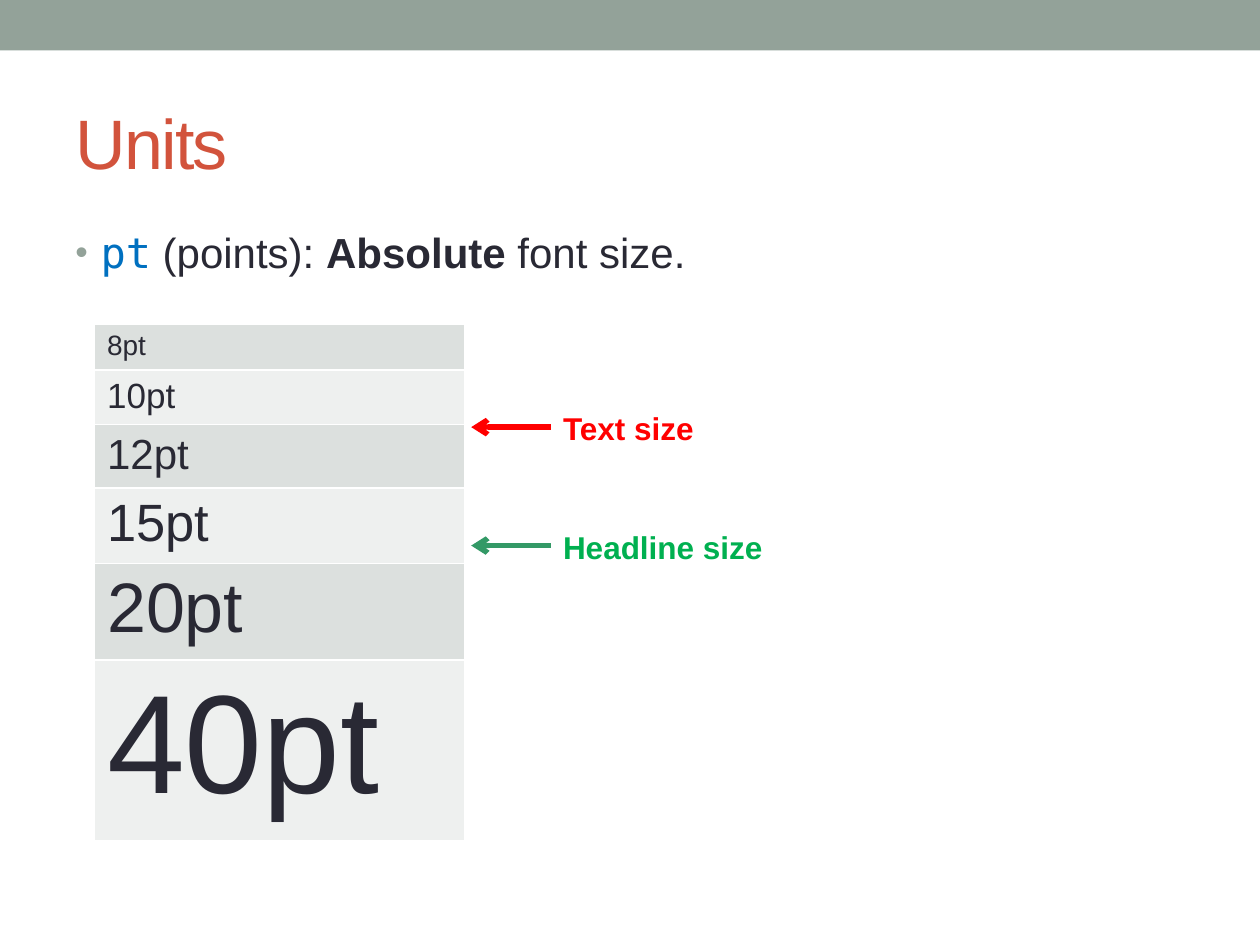
from dataclasses import dataclass

from lxml import etree
from pptx import Presentation
from pptx.dml.color import RGBColor
from pptx.enum.shapes import MSO_CONNECTOR, MSO_SHAPE
from pptx.enum.text import MSO_ANCHOR, PP_ALIGN
from pptx.oxml.ns import qn
from pptx.util import Inches, Pt

RECT = MSO_SHAPE.RECTANGLE
LINE = MSO_CONNECTOR.STRAIGHT
MIDDLE = MSO_ANCHOR.MIDDLE
LEFT = PP_ALIGN.LEFT


@dataclass(frozen=True)
class Theme:
    sans: str = "Arial"
    mono: str = "DejaVu Sans Mono"
    ink: str = "292934"
    title: str = "D2533C"
    bar: str = "93A299"
    code: str = "0070C0"
    bands: tuple = ("DCE0DE", "EEF0EF")
    rule: str = "FFFFFF"
    red: str = "FF0000"
    teal: str = "339966"
    green: str = "00B050"
    head: int = 40
    body: int = 24
    note: int = 18


T = Theme()


def rgb(hue):
    return RGBColor.from_string(hue)


def style(font, size, hue, bold=False):
    font.name = T.sans
    font.size = Pt(size)
    font.color.rgb = rgb(hue)
    font.bold = bold


def node(root, tag, **attrs):
    return etree.SubElement(root, qn(tag), attrs)


def add_bar(slide, x, y, w, h):
    bar = slide.shapes.add_shape(RECT, Inches(x), Inches(y), Inches(w), Inches(h))
    bar.shadow.inherit = False
    bar.fill.solid()
    bar.fill.fore_color.rgb = rgb(T.bar)
    bar.line.fill.background()


def add_title(slide, text, x, y, w, h):
    title = slide.shapes.title
    title.left, title.top = Inches(x), Inches(y)
    title.width, title.height = Inches(w), Inches(h)
    frame = title.text_frame
    frame.vertical_anchor = MIDDLE
    para = frame.paragraphs[0]
    run = para.add_run()
    run.text = text
    para.alignment = LEFT
    style(para.font, T.head, T.title)
    run._r.get_or_add_rPr().set("spc", "-100")


def add_text(slide, x, y, w, h):
    box = slide.shapes.add_textbox(Inches(x), Inches(y), Inches(w), Inches(h))
    box.text_frame.word_wrap = True
    return box.text_frame.paragraphs[0]


def add_body(slide, x, y, w, h):
    para = add_text(slide, x, y, w, h)
    props = para._p.get_or_add_pPr()
    props.set("marL", str(Inches(0.2)))
    props.set("indent", str(Inches(-0.2)))
    node(node(props, "a:buClr"), "a:srgbClr", val=T.bar)
    node(props, "a:buSzPct", val="85000")
    node(props, "a:buFont", typeface=T.sans)
    node(props, "a:buChar", char="•")
    style(para.font, T.body, T.ink)
    for text in ("pt", " (points): ", "Absolute ", "font size."):
        para.add_run().text = text
    code, _, strong, _ = para.runs
    code.font.name = T.mono
    code.font.color.rgb = rgb(T.code)
    strong.font.bold = True


def add_edges(cell):
    props = cell._tc.get_or_add_tcPr()
    for i, side in enumerate(("a:lnL", "a:lnR", "a:lnT", "a:lnB")):
        edge = etree.Element(qn(side), w=str(Pt(1)))
        node(node(edge, "a:solidFill"), "a:srgbClr", val=T.rule)
        props.insert(i, edge)


def add_sizes(slide, rows, x, y, w, h):
    frame = slide.shapes.add_table(
        len(rows), 1, Inches(x), Inches(y), Inches(w), Inches(h))
    table = frame.table
    table.first_row = False
    for i, (points, tall) in enumerate(rows):
        table.rows[i].height = Inches(tall)
        cell = table.cell(i, 0)
        cell.text = f"{points}pt"
        cell.fill.solid()
        cell.fill.fore_color.rgb = rgb(T.bands[i % 2])
        style(cell.text_frame.paragraphs[0].font, points * 2, T.ink)
        add_edges(cell)
    frame.height = Inches(h)


def add_note(slide, text, hue, tint, x, y, w, h):
    gap, reach, drop = 0.63, w - 0.63, 0.19
    arrow = slide.shapes.add_connector(
        LINE, Inches(x + gap), Inches(y + drop), Inches(x), Inches(y + drop))
    arrow.line.color.rgb = rgb(tint)
    arrow.line.width = Pt(3)
    node(arrow.line._get_or_add_ln(), "a:tailEnd", type="arrow")
    node(arrow._element.spPr, "a:effectLst")
    para = add_text(slide, x + gap, y, reach, h)
    para.text = text
    style(para.font, T.note, hue, True)


def main():
    deck = Presentation()
    deck.slide_width, deck.slide_height = Inches(10), Inches(7.5)
    slide = deck.slides.add_slide(deck.slide_layouts[5])
    add_bar(slide, 0, 0, 10, 0.4)
    add_title(slide, "Units", 0.5, 0.58, 9, 1.08)
    add_body(slide, 0.5, 1.75, 9, 5.33)
    rows = ((8, 0.24), (10, 0.31), (12, 0.31), (15, 0.31), (20, 0.41), (40, 0.71))
    add_sizes(slide, rows, 0.75, 2.57, 2.94, 4.1)
    notes = (("Text size", T.red, T.red), ("Headline size", T.green, T.teal))
    for i, (text, hue, tint) in enumerate(notes):
        add_note(slide, text, hue, tint, 3.74, 3.2 + i * 0.94, 5.28, 0.4)
    deck.save("out.pptx")


if __name__ == "__main__":
    main()
